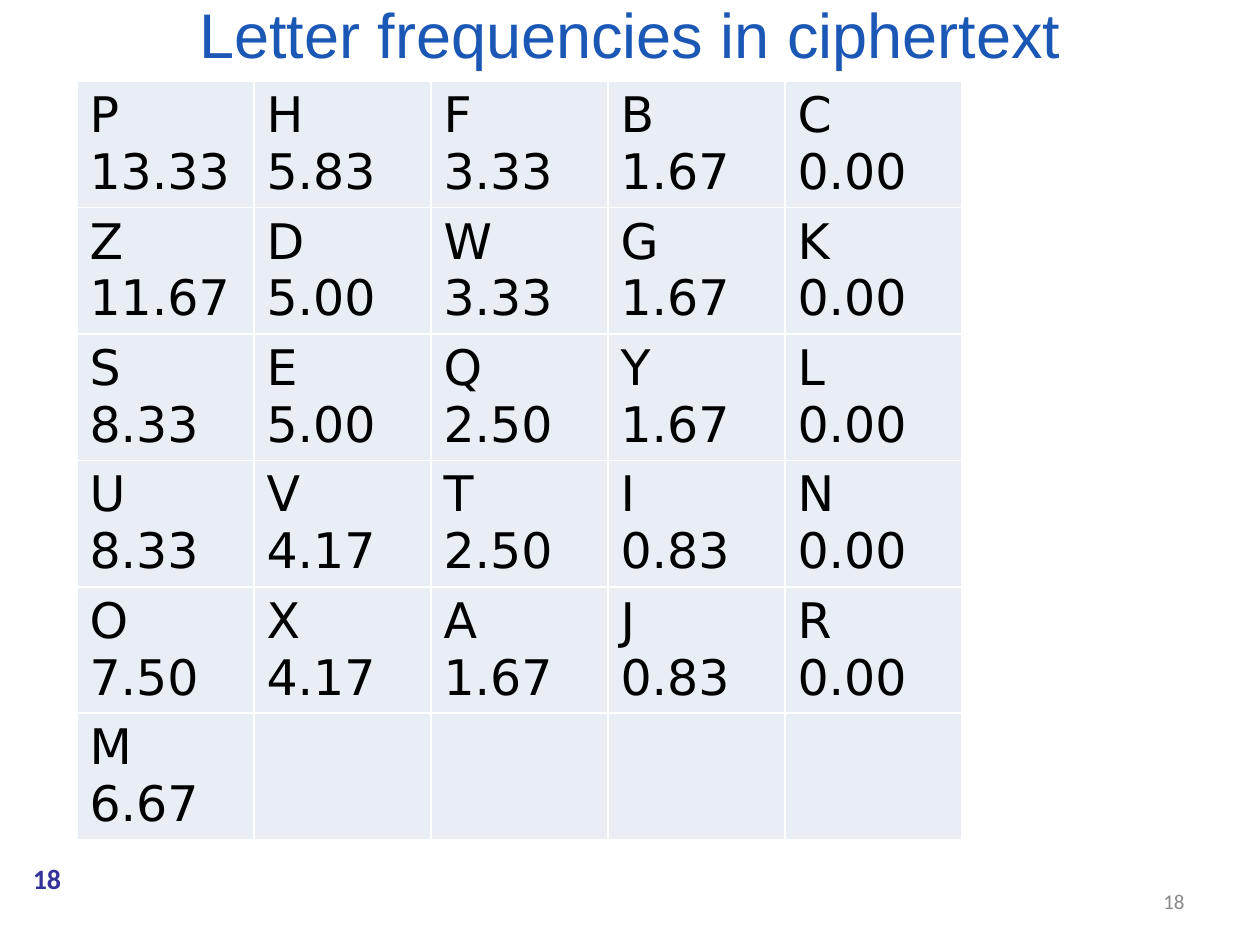
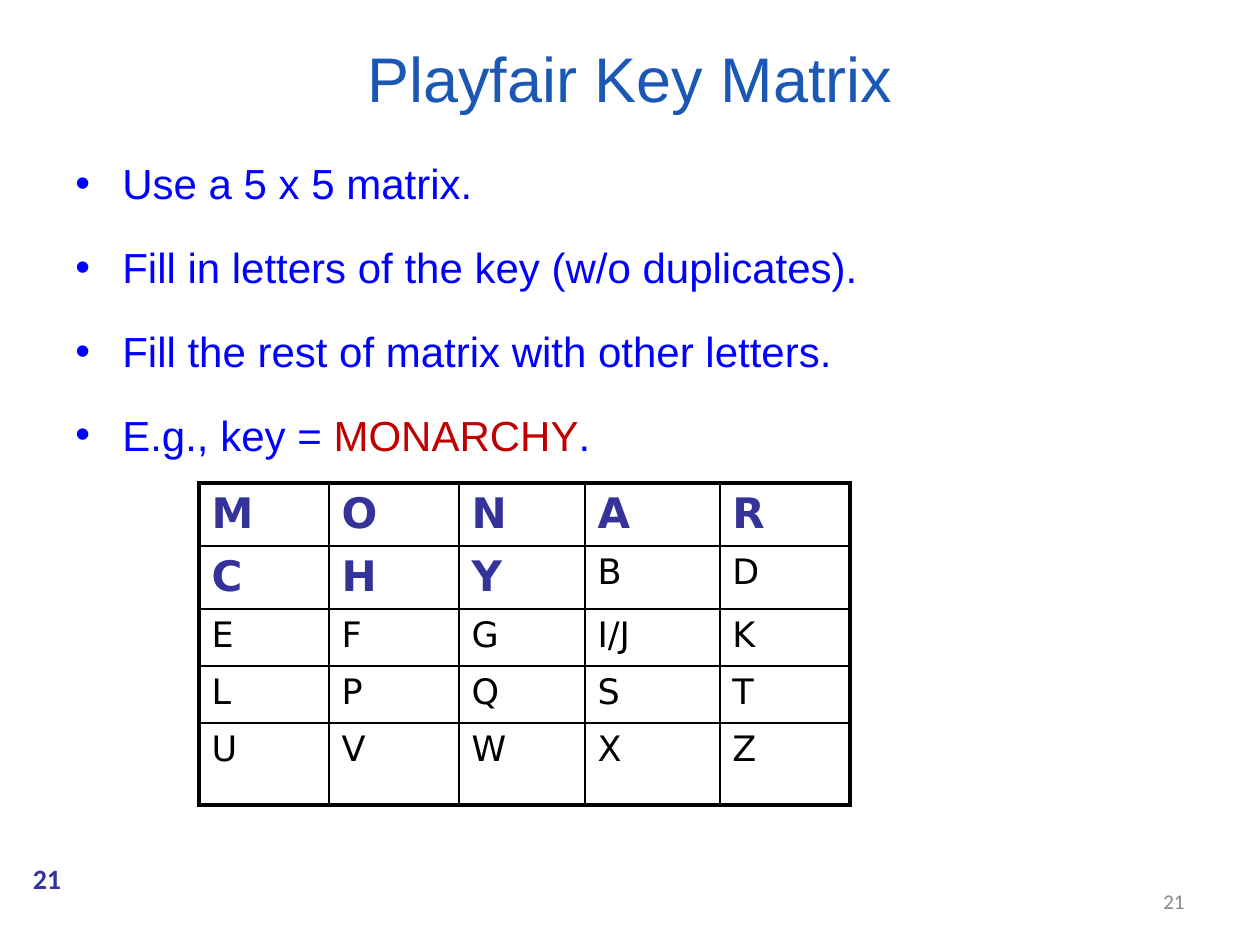
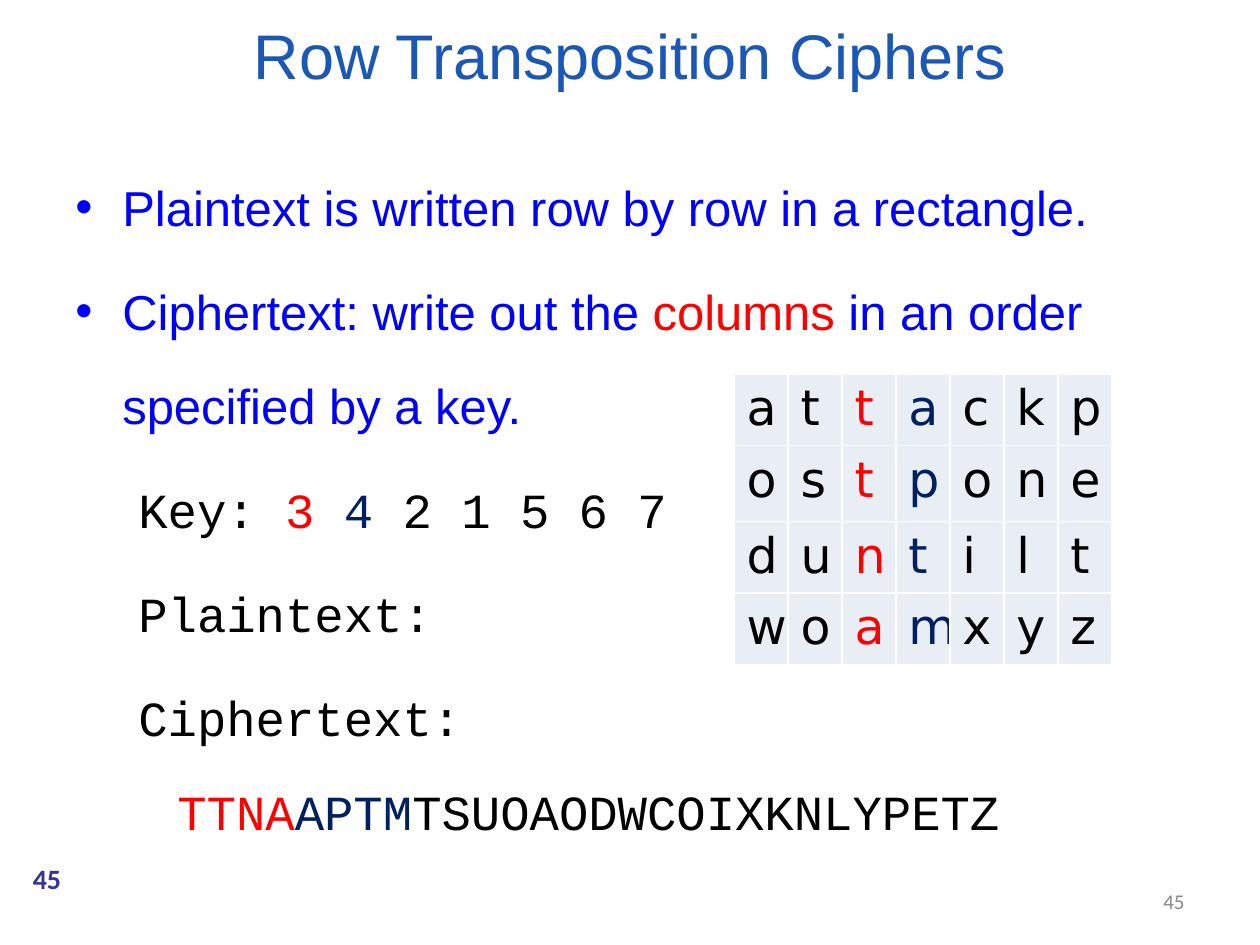
from dataclasses import dataclass

from lxml import etree
from pptx import Presentation
from pptx import util as u
from pptx.dml import color as colors
from pptx.enum import shapes, text
from pptx.oxml import ns

PX = 7257  # EMU in one px, at 126 px to the inch


@dataclass(frozen=True)
class Theme:
    title: str = "1B57B5"
    body: str = "0000FF"
    indigo: str = "333399"
    grey: str = "898989"
    black: str = "000000"
    white: str = "FFFFFF"
    cell: str = "E9EDF4"
    red: str = "FF0000"
    dark_red: str = "C00000"
    navy: str = "002060"
    sans: str = "Arial"
    number_font: str = "Calibri"
    table_font: str = "DejaVu Sans"
    mono: str = "Courier New"
    title_size: int = 36
    large: int = 28
    medium: int = 24
    small: int = 20
    badge_size: int = 16
    footer_size: int = 12


theme = Theme()


def style_runs(paragraph, font, size, color, bold=False):
    for run in paragraph.runs:
        run.font.name = font
        run.font.size = u.Pt(size)
        run.font.bold = bold
        run.font.color.rgb = colors.RGBColor.from_string(color)


def add_grid(slide, left, top, widths, heights, texts, line_color, outer_width, fill=None):
    """Add a table with 1 pt inner borders and the given outer border width."""
    table = slide.shapes.add_table(len(heights), len(widths), left * PX, top * PX,
                                   sum(widths) * PX, sum(heights) * PX).table
    table.first_row = table.horz_banding = False
    for column, width in zip(table.columns, widths):
        column.width = width * PX
    for row, height in zip(table.rows, heights):
        row.height = height * PX
    last_row, last_column = len(heights) - 1, len(widths) - 1
    for index, cell in enumerate(table.iter_cells()):
        row, column = divmod(index, len(widths))
        cell.text_frame.text = texts[index] if index < len(texts) else ""
        if fill:
            cell.fill.solid()
            cell.fill.fore_color.rgb = colors.RGBColor.from_string(fill)
        else:
            cell.fill.background()
        outer_sides = {"lnL": column == 0, "lnR": column == last_column,
                       "lnT": row == 0, "lnB": row == last_row}
        properties = cell._tc.get_or_add_tcPr()
        for position, (side, is_outer) in enumerate(outer_sides.items()):
            border = etree.Element(ns.qn("a:" + side),
                                   w=str(u.Pt(outer_width if is_outer else 1)))
            solid = etree.SubElement(border, ns.qn("a:solidFill"))
            etree.SubElement(solid, ns.qn("a:srgbClr"), val=line_color)
            properties.insert(position, border)
    return table


presentation = Presentation()
presentation.slide_width = 1260 * PX
presentation.slide_height = 945 * PX
title_only = presentation.slide_layouts[5]

# Slides with title, number badge and footer number
slides = []
for title, title_top, title_height, number in [
    ("Letter frequencies in ciphertext", 0, 67, "18"),
    ("Playfair Key Matrix", 38, 78, "21"),
    ("Row Transposition Ciphers", 21, 67, "45"),
]:
    slide = presentation.slides.add_slide(title_only)
    slides.append(slide)

    heading = slide.shapes.title
    heading.left, heading.top = 63 * PX, title_top * PX
    heading.width, heading.height = 1134 * PX, title_height * PX

    badge = slide.shapes.add_shape(shapes.MSO_SHAPE.OVAL, 0, 857 * PX, 94 * PX, 42 * PX)
    badge.shadow.inherit = False
    badge.fill.solid()
    badge.fill.fore_color.rgb = colors.RGBColor.from_string(theme.white)
    badge.line.color.rgb = colors.RGBColor.from_string(theme.white)
    badge.line.width = u.Pt(2)
    frame = badge.text_frame
    frame.margin_left = frame.margin_right = frame.margin_top = frame.margin_bottom = 0

    footer = slide.shapes.add_textbox(903 * PX, 876 * PX, 294 * PX, 50 * PX)

    for shape, words, align, font, size, color, bold in [
        (heading, title, text.PP_ALIGN.CENTER, theme.sans, theme.title_size, theme.title, False),
        (badge, number, text.PP_ALIGN.CENTER, theme.number_font, theme.badge_size,
         theme.indigo, True),
        (footer, number, text.PP_ALIGN.RIGHT, theme.number_font, theme.footer_size,
         theme.grey, False),
    ]:
        frame = shape.text_frame
        frame.text = words
        frame.word_wrap = True
        frame.auto_size = text.MSO_AUTO_SIZE.NONE
        frame.vertical_anchor = text.MSO_ANCHOR.MIDDLE
        frame.paragraphs[0].alignment = align
        style_runs(frame.paragraphs[0], font, size, color, bold)

frequency_slide, playfair_slide, transposition_slide = slides

# Body text: each paragraph is (bulleted, [(words, colour), ...])
playfair_points = [
    (True, [("Use a 5 x 5 matrix.", theme.body)]),
    (True, [("Fill in letters of the key (w/o duplicates).", theme.body)]),
    (True, [("Fill the rest of matrix with other letters.", theme.body)]),
    (True, [("E.g., key = ", theme.body), ("MONARCHY", theme.dark_red), (".", theme.body)]),
]
transposition_points = [
    (True, [("Plaintext is written row by row in a rectangle.", theme.body)]),
    (True, [("Ciphertext: write out the ", theme.body), ("columns", theme.red),
            (" in an order specified by a key.", theme.body)]),
    (False, [("Key: ", theme.black), ("3 ", theme.red), ("4", theme.navy),
             (" 2 1 5 6 7", theme.black)]),
    (False, [("Plaintext:", theme.black)]),
    (False, [("Ciphertext: ", theme.black), ("TTNA", theme.red), ("APTM", theme.navy),
             ("TSUOAODWCOIXKNLYPETZ", theme.black)]),
]
for slide, top, height, size, line_spacing, points in [
    (playfair_slide, 126, 368, theme.medium, 1.5, playfair_points),
    (transposition_slide, 136, 624, theme.large, 1.6, transposition_points),
]:
    frame = slide.shapes.add_textbox(63 * PX, top * PX, 1134 * PX, height * PX).text_frame
    frame.word_wrap = True
    for index, (bulleted, pieces) in enumerate(points):
        paragraph = frame.add_paragraph() if index else frame.paragraphs[0]
        paragraph.line_spacing = line_spacing
        paragraph.space_before = u.Pt(size * 0.2)
        paragraph.level = 0 if bulleted else 1
        margin, hanging = (47, 47) if bulleted else (102, 39)
        properties = paragraph._p.get_or_add_pPr()
        properties.set("marL", str(margin * PX))
        properties.set("indent", str(-hanging * PX))
        if bulleted:
            etree.SubElement(properties, ns.qn("a:buFont"), typeface=theme.sans)
            etree.SubElement(properties, ns.qn("a:buChar"), char="•")
        for words, _ in pieces:
            paragraph.add_run().text = words
        style_runs(paragraph, theme.sans if bulleted else theme.mono, size, theme.body)
        for run, (_, color) in zip(paragraph.runs, pieces):
            run.font.color.rgb = colors.RGBColor.from_string(color)

# Letter frequencies, letter above percentage
frequencies = [
    "P 13.33", "H 5.83", "F 3.33", "B 1.67", "C 0.00",
    "Z 11.67", "D 5.00", "W 3.33", "G 1.67", "K 0.00",
    "S 8.33", "E 5.00", "Q 2.50", "Y 1.67", "L 0.00",
    "U 8.33", "V 4.17", "T 2.50", "I 0.83", "N 0.00",
    "O 7.50", "X 4.17", "A 1.67", "J 0.83", "R 0.00",
    "M 6.67",
]
stacked = [entry.replace(" ", "\v") for entry in frequencies]
frequency_table = add_grid(frequency_slide, 77, 81, [177] * 5, [126] * 6, stacked,
                           theme.white, 1, theme.cell)
for cell in frequency_table.iter_cells():
    style_runs(cell.text_frame.paragraphs[0], theme.table_font, theme.large, theme.black)

# Playfair matrix, key letters first
key_length = len("MONARCHY") 
matrix_letters = list("MONARCHYBDEFG") + ["I/J"] + list("KLPQSTUVWXZ")
matrix = add_grid(playfair_slide, 199, 483, [130, 130, 126, 135, 130], [61, 61, 57, 57, 82],
                  matrix_letters, theme.black, 2.25)
for index, cell in enumerate(matrix.iter_cells()):
    in_key = index < key_length
    size = theme.medium if in_key else theme.small
    paragraph = cell.text_frame.paragraphs[0]
    paragraph.space_before = u.Pt(size * 0.2)
    style_runs(paragraph, theme.table_font, size,
               theme.indigo if in_key else theme.black, in_key)

# Transposition rectangle, the first two key columns coloured
rectangle_letters = "attackpostponeduntiltwoamxyz"
key_columns = {2: theme.red, 3: theme.navy}
rectangle = add_grid(transposition_slide, 734, 374, [54] * 7, [69, 76, 69, 69],
                     rectangle_letters, theme.white, 1, theme.cell)
for index, cell in enumerate(rectangle.iter_cells()):
    style_runs(cell.text_frame.paragraphs[0], theme.table_font, theme.large,
               key_columns.get(index % 7, theme.black))

presentation.save("out.pptx")
